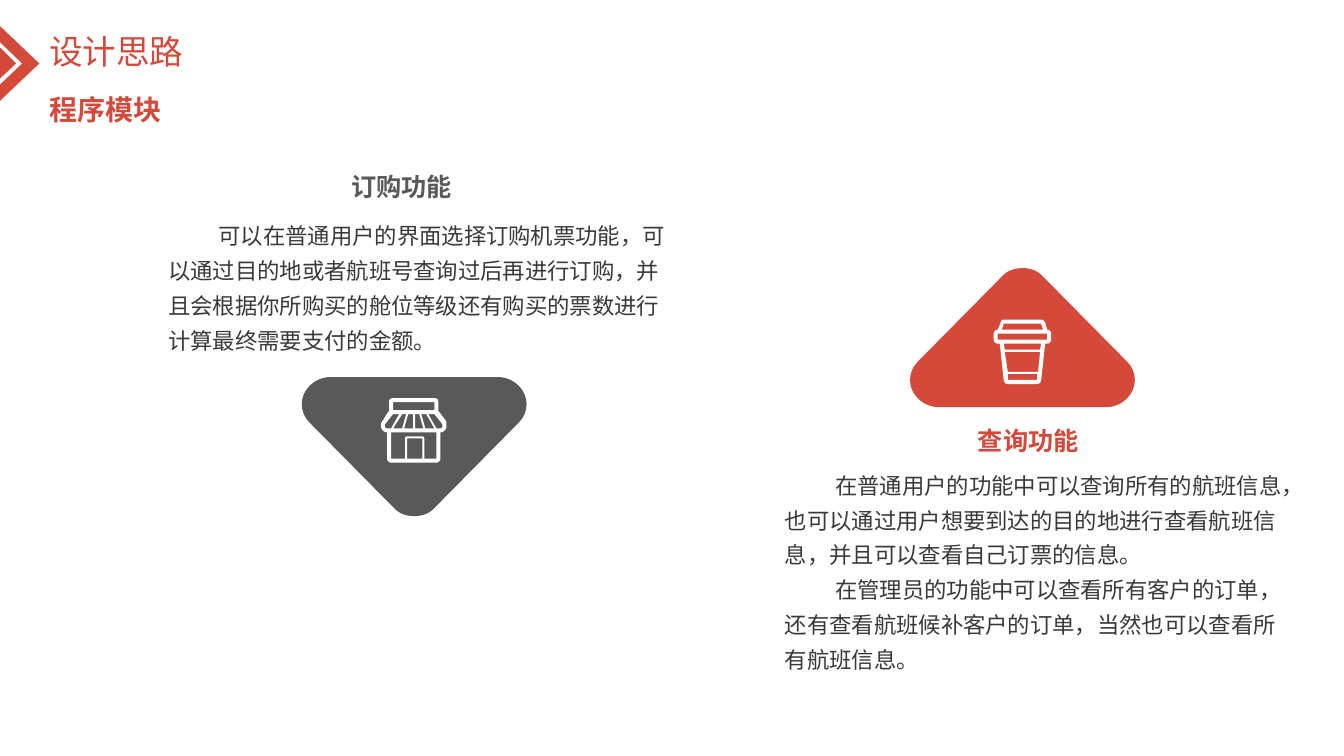
from lxml.etree import SubElement
from pptx import Presentation
from pptx.dml.color import RGBColor
from pptx.enum.text import MSO_AUTO_SIZE as FIT, PP_ALIGN as ALIGN
from pptx.oxml.ns import qn
from pptx.util import Cm, Pt

RED = RGBColor(0xD5, 0x49, 0x3A)
GRAY = RGBColor(0x59, 0x59, 0x59)
INK = RGBColor(0x3B, 0x38, 0x38)
WHITE = RGBColor(0xFF, 0xFF, 0xFF)
FONT = "Noto Sans CJK SC"
STEP = Cm(0.0254)  # drawing unit of the outlines
FINE = 100         # subdivisions of a drawing unit
CURVE_STEPS = 8


def write(p, text, size=16, color=INK, bold=False, align=None, spacing=None, first_line=None):
    """Fill a paragraph with one formatted run."""
    if align is not None:
        p.alignment = align
    if spacing:
        p.line_spacing = spacing
    if first_line:
        pPr = p._p.get_or_add_pPr()
        pPr.set("marL", "0")
        pPr.set("indent", str(first_line))
    r = p.add_run()
    r.text = text
    r.font.size, r.font.bold, r.font.name = Pt(size), bold, FONT
    r.font.color.rgb = color
    SubElement(r._r.get_or_add_rPr(), qn("a:ea")).set("typeface", FONT)


def flatten(outline):
    """Turn points and cubic curves (six numbers) into plain points."""
    points = []
    for item in outline:
        if len(item) == 2:
            points.append(item)
            continue
        x0, y0 = points[-1]
        x1, y1, x2, y2, x3, y3 = item
        for i in range(1, CURVE_STEPS + 1):
            t = i / CURVE_STEPS
            a, b, c, d = (1 - t) ** 3, 3 * t * (1 - t) ** 2, 3 * t * t * (1 - t), t ** 3
            points.append((a * x0 + b * x1 + c * x2 + d * x3,
                           a * y0 + b * y1 + c * y2 + d * y3))
    return points


def box(left, top, right, bottom):
    return [(left, top), (right, top), (right, bottom), (left, bottom)]


class Deck:
    def __init__(self):
        self.prs = Presentation()
        self.prs.slide_width, self.prs.slide_height = Cm(33.87), Cm(19.05)
        self.slide = self.prs.slides.add_slide(self.prs.slide_layouts[6])

    def text(self, x, y, w, h, *paragraphs, wrap=True, **style):
        sp = self.slide.shapes.add_textbox(Cm(x), Cm(y), Cm(w), Cm(h))
        tf = sp.text_frame
        tf.word_wrap = wrap
        tf.auto_size = FIT.SHAPE_TO_FIT_TEXT
        for i, line in enumerate(paragraphs):
            write(tf.add_paragraph() if i else tf.paragraphs[0], line, **style)

    def body(self, x, y, w, h, *paragraphs):
        self.text(x, y, w, h, *paragraphs, spacing=1.3, first_line=Cm(1.27))

    def heading(self, x, y, text, color):
        self.text(x, y, 3.07, 1.02, text, wrap=False, size=18, color=color,
                  bold=True, align=ALIGN.CENTER)

    def outline(self, x, y, contours, color, flip=False):
        """Draw closed contours, offset by (x, y); inner contours are holes."""
        sign = -1 if flip else 1
        builder = None
        for contour in contours:
            points = [((x + px) * FINE, (y + sign * py) * FINE) for px, py in flatten(contour)]
            if builder is None:
                builder = self.slide.shapes.build_freeform(*points[0], scale=STEP / FINE)
            else:
                builder.move_to(*points[0])
            builder.add_line_segments(points[1:], close=True)
        sp = builder.convert_to_shape()
        sp.shadow.inherit = False
        sp.fill.solid()
        sp.fill.fore_color.rgb = color
        sp.line.fill.background()


ARROW_TIP = [(0, 21), (16, 37), (0, 52)]
ARROW_BAND = [(0, 0), (39, 37), (0, 74), (0, 58), (22, 37), (0, 16)]

# Triangle with its rounded apex at (0, 0)
TRIANGLE = [
    (0, 0), (7, 0, 14, 2, 19, 7), (104, 93), (114, 103, 114, 119, 104, 129),
    (98, 135, 91, 138, 82, 138), (-82, 138), (-91, 138, -98, 135, -104, 129),
    (-114, 119, -114, 103, -104, 93), (-19, 7), (-14, 2, -7, 0, 0, 0)]

SHOP = [
    # silhouette
    [(64, 22), (58, 14), (57, 13), (57, 4), (57, 1, 55, 0, 53, 0), (12, 0),
     (10, 0, 8, 1, 8, 4), (8, 13), (7, 14), (2, 22), (1, 23, 0, 25, 0, 26), (0, 28),
     (0, 31, 3, 34, 6, 34), (6, 60), (6, 62, 8, 64, 10, 64), (55, 64),
     (57, 64, 59, 62, 59, 60), (59, 34), (62, 34, 65, 31, 65, 28), (65, 26),
     (65, 25, 65, 23, 64, 22)],
    # sign
    box(12, 4, 53, 12),
    # awning stripes
    [(4, 28), (4, 26), (11, 17), (12, 16), (18, 16), (10, 30), (6, 30), (5, 30, 4, 29, 4, 28)],
    [(21, 16), (25, 16), (21, 30), (12, 30)],
    [(27, 16), (32, 16), (32, 30), (23, 30)],
    [(34, 16), (38, 16), (42, 30), (34, 30)],
    [(40, 16), (45, 16), (53, 30), (44, 30)],
    [(61, 28), (61, 29, 60, 30, 59, 30), (55, 30), (47, 16), (53, 16), (54, 17), (61, 26)],
    # wall and door
    [(55, 60), (43, 60), (43, 40), (43, 39, 42, 38, 41, 38), (26, 38),
     (24, 38, 24, 39, 24, 40), (24, 60), (10, 60), (10, 34), (55, 34)],
    box(26, 40, 41, 60)]

CUP = [
    # silhouette
    [(53, 10), (51, 3), (50, 1, 48, 0, 47, 0), (10, 0), (9, 0, 7, 1, 7, 3), (4, 10),
     (2, 10, 0, 12, 0, 14), (0, 20), (0, 22, 2, 24, 4, 24), (6, 24), (10, 61),
     (11, 63, 12, 64, 14, 64), (43, 64), (45, 64, 46, 63, 47, 61), (51, 24), (53, 24),
     (55, 24, 57, 22, 57, 20), (57, 14), (57, 12, 55, 10, 53, 10)],
    # lid and rim
    [(10, 4), (47, 4), (49, 10), (8, 10)],
    box(4, 14, 53, 20),
    # body bands
    [(10, 24), (47, 24), (46, 30), (11, 30)],
    [(11, 32), (46, 32), (44, 52), (14, 52)],
    box(14, 54, 43, 60)]


def main():
    deck = Deck()

    # Title and arrow at the left edge
    deck.text(0.99, 0.66, 3.94, 1.27, "设计思路", wrap=False, size=24, color=RED)
    for contour in (ARROW_TIP, ARROW_BAND):
        deck.outline(0, 26, [contour], RED)
    deck.text(0.99, 2.21, 8.48, 1.12, "程序模块", size=20, color=RED, bold=True)

    # Booking module
    deck.outline(411, 512, [TRIANGLE], GRAY, flip=True)
    deck.outline(378, 395, SHOP, WHITE)
    deck.heading(8.59, 4.19, "订购功能", GRAY)
    deck.body(3.99, 5.28, 13.41, 3.73,
              "可以在普通用户的界面选择订购机票功能，可以通过目的地或者航班号查询过后再进行订购，"
              "并且会根据你所购买的舱位等级还有购买的票数进行计算最终需要支付的金额。")

    # Query module
    deck.outline(1014.5, 266, [TRIANGLE], RED)
    deck.outline(986, 317, CUP, WHITE)
    deck.heading(24.38, 10.59, "查询功能", RED)
    deck.body(19.53, 11.56, 13.08, 5.51,
              "在普通用户的功能中可以查询所有的航班信息，也可以通过用户想要到达的目的地"
              "进行查看航班信息，并且可以查看自己订票的信息。",
              "在管理员的功能中可以查看所有客户的订单，还有查看航班候补客户的订单，"
              "当然也可以查看所有航班信息。")

    deck.prs.save("out.pptx")


if __name__ == "__main__":
    main()
